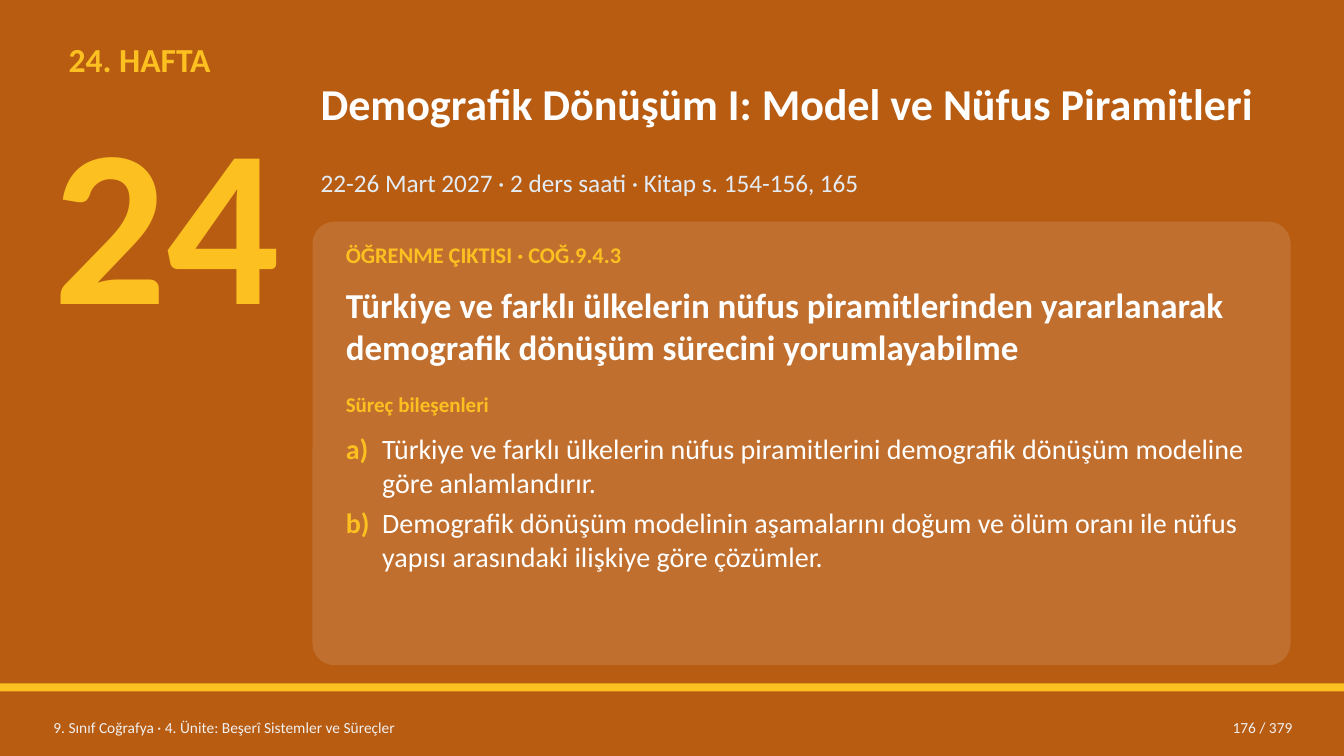
from pptx import Presentation
from pptx.dml.color import RGBColor
from pptx.enum.shapes import MSO_SHAPE
from pptx.enum.text import MSO_ANCHOR, MSO_AUTO_SIZE, PP_ALIGN
from pptx.oxml.ns import qn
from pptx.util import Inches, Pt
from lxml import etree

WIDE, HIGH = 13.33, 7.5
RUST, GOLD, WHITE = "B85C12", "FCC021", "FFFFFF"
MIST, PALE = "E3ECF5", "F0F0F0"


def paint(fill, color, alpha=None):
    fill.solid()
    fill.fore_color.rgb = RGBColor.from_string(color)
    if alpha is not None:
        tone = fill._xPr.find(qn("a:solidFill"))[0]
        etree.SubElement(tone, qn("a:alpha")).set("val", str(alpha * 1000))


def block(slide, kind, box, color, alpha=None):
    shape = slide.shapes.add_shape(kind, *map(Inches, box))
    shape.shadow.inherit = False
    paint(shape.fill, color, alpha)
    shape.line.fill.background()
    return shape


def frame(shape, box, anchor=MSO_ANCHOR.TOP, pad=0.04):
    shape.left, shape.top, shape.width, shape.height = map(Inches, box)
    text = shape.text_frame
    text.word_wrap = True
    text.auto_size = MSO_AUTO_SIZE.NONE
    text.vertical_anchor = anchor
    text.margin_left = text.margin_right = Inches(0.08)
    text.margin_top = text.margin_bottom = Inches(pad)
    return text


def write(para, words, size, color, bold=False):
    run = para.add_run()
    run.text = words
    run.font.name = "Calibri"
    run.font.size = Pt(size)
    run.font.bold = bold
    paint(run.font.fill, color)


def label(slide, box, words, size, color, bold=False, align=PP_ALIGN.LEFT, **opts):
    shape = slide.shapes.add_textbox(*map(Inches, box))
    para = frame(shape, box, **opts).paragraphs[0]
    para.alignment = align
    write(para, words, size, color, bold)


def lift(slide, shape):
    # Bring a placeholder in front of the shapes drawn so far
    slide.shapes._spTree.append(shape._element)


def week(slide, x, y, num):
    # Week tag and large number
    label(slide, (x + 0.15, y, 2.6, 0.55), f"{num}. HAFTA", 24, GOLD, True)
    label(slide, (x, y + 0.45, 2.6, 2.75), str(num), 160, GOLD, True, pad=0)


def head(slide, x, y, wide, title, dates):
    # Title and the line of dates below it
    shape = slide.shapes.title
    lift(slide, shape)
    para = frame(shape, (x, y, wide, 1.15), MSO_ANCHOR.MIDDLE).paragraphs[0]
    para.alignment = PP_ALIGN.LEFT
    write(para, title, 31.5, WHITE, True)
    label(slide, (x, y + 1.17, wide, 0.45), dates, 18, MIST)


def card(slide, x, y, wide, high, code, goal, steps):
    # Translucent panel
    panel = block(slide, MSO_SHAPE.ROUNDED_RECTANGLE, (x, y, wide, high), WHITE, 12)
    panel.adjustments[0] = 0.05
    left, span = x + 0.25, wide - 0.5

    # Learning outcome
    label(slide, (left, y + 0.15, span, 0.4), f"ÖĞRENME ÇIKTISI · {code}", 16, GOLD, True)
    label(slide, (left, y + 0.57, span, 0.95), goal, 25, WHITE, True)
    label(slide, (left, y + 1.64, span, 0.38), "Süreç bileşenleri", 15, GOLD, True)

    # Lettered steps with a hanging indent
    body = slide.placeholders[1]
    lift(slide, body)
    text = frame(body, (left, y + 2.04, span, high - 2.17))
    for i, (mark, words) in enumerate(steps):
        para = text.add_paragraph() if i else text.paragraphs[0]
        props = para._p.get_or_add_pPr()
        props.set("marL", str(Inches(0.36)))
        props.set("indent", str(-Inches(0.36)))
        etree.SubElement(props, qn("a:buNone"))
        para.space_before = Pt(0)
        para.space_after = Pt(5)
        write(para, f"{mark})\t", 20, GOLD, True)
        write(para, words, 20, WHITE)


def foot(slide, y, unit, page):
    # Gold rule, unit name and page count
    block(slide, MSO_SHAPE.RECTANGLE, (0, y, WIDE, 0.08), GOLD)
    row = y + 0.26
    label(slide, (0.45, row, 7.6, 0.36), unit, 11, PALE, anchor=MSO_ANCHOR.MIDDLE)
    label(slide, (11.3, row, 1.6, 0.36), page, 11, PALE,
          align=PP_ALIGN.RIGHT, anchor=MSO_ANCHOR.MIDDLE)


def main():
    deck = Presentation()
    deck.slide_width, deck.slide_height = Inches(WIDE), Inches(HIGH)
    slide = deck.slides.add_slide(deck.slide_layouts[1])
    paint(slide.background.fill, RUST)

    week(slide, 0.45, 0.35, 24)
    head(slide, 3.1, 0.45, 9.7,
         "Demografik Dönüşüm I: Model ve Nüfus Piramitleri",
         "22-26 Mart 2027 · 2 ders saati · Kitap s. 154-156, 165")
    card(slide, 3.1, 2.2, 9.7, 4.4, "COĞ.9.4.3",
         "Türkiye ve farklı ülkelerin nüfus piramitlerinden yararlanarak "
         "demografik dönüşüm sürecini yorumlayabilme",
         [("a", "Türkiye ve farklı ülkelerin nüfus piramitlerini demografik "
                "dönüşüm modeline göre anlamlandırır."),
          ("b", "Demografik dönüşüm modelinin aşamalarını doğum ve ölüm oranı "
                "ile nüfus yapısı arasındaki ilişkiye göre çözümler.")])
    foot(slide, 6.78, "9. Sınıf Coğrafya · 4. Ünite: Beşerî Sistemler ve Süreçler",
         "176 / 379")
    deck.save("out.pptx")


if __name__ == "__main__":
    main()
